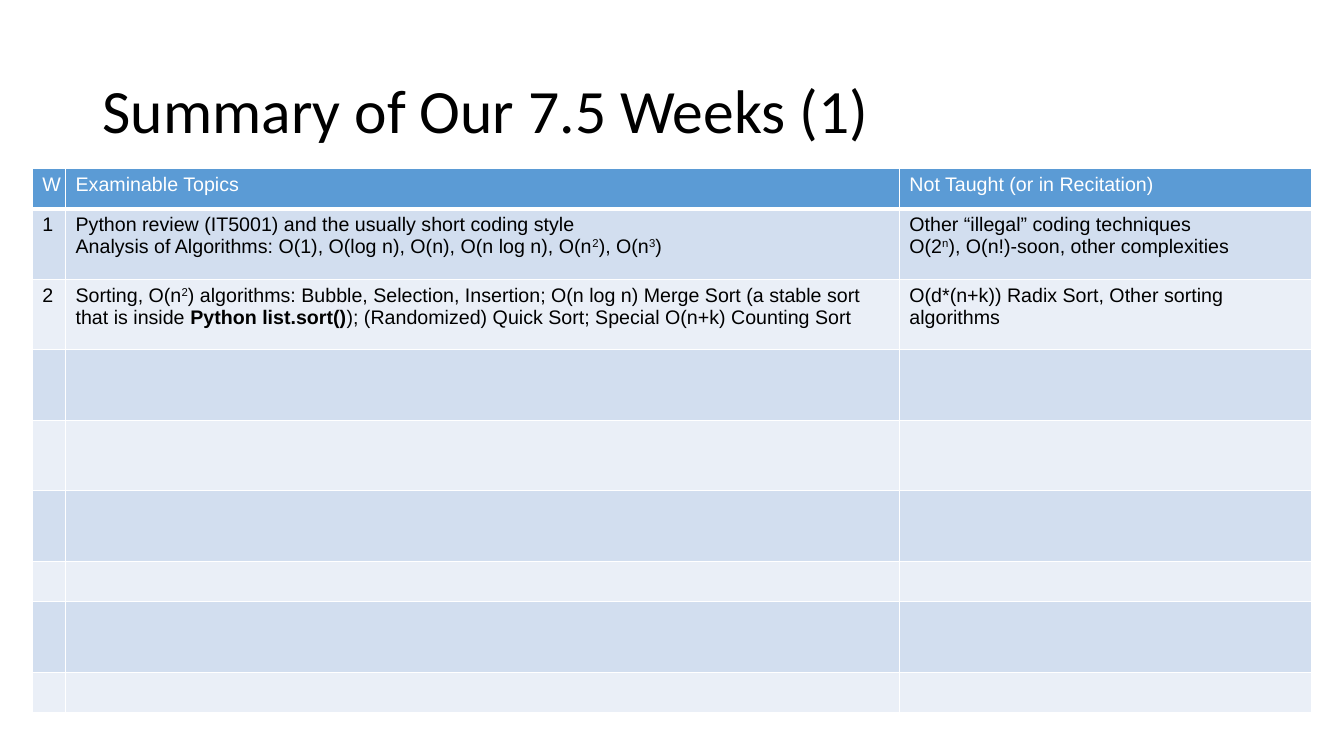
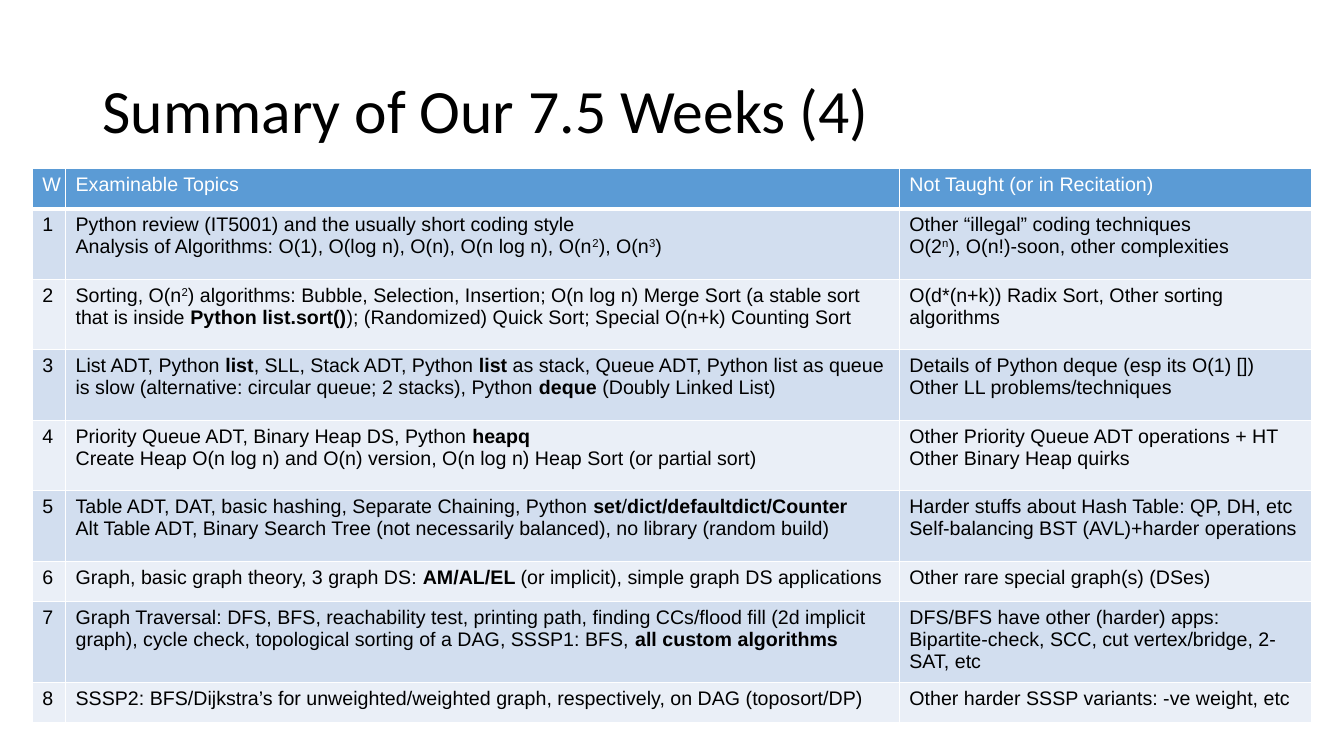
from lxml.etree import SubElement
from pptx import Presentation
from pptx.dml.color import RGBColor
from pptx.enum.text import MSO_ANCHOR
from pptx.oxml.ns import qn
from pptx.util import Emu, Pt

PX = 9144  # 100 px to the inch
COLORS = {
    "text": "000000",
    "header_text": "FFFFFF",
    "border": "FFFFFF",
    "header": "5B9BD5",
    "odd_week": "D2DEEF",
    "even_week": "EAEFF7",
}

COLUMN_WIDTHS = [33, 827, 409]
ROW_HEIGHTS = [40, 70, 70, 70, 70, 70, 40, 70, 40]
HEADINGS = ("W", "Examinable Topics", "Not Taught (or in Recitation)")

# Topics of each week: |bold|, ^superscript^, a new line for a new paragraph
WEEKS = [
    ("Python review (IT5001) and the usually short coding style\n"
     "Analysis of Algorithms: O(1), O(log n), O(n), O(n log n), O(n^2^), O(n^3^)",
     "Other “illegal” coding techniques\n"
     "O(2^n^), O(n!)-soon, other complexities"),
    ("Sorting, O(n^2^) algorithms: Bubble, Selection, Insertion; O(n log n) Merge Sort "
     "(a stable sort that is inside |Python list.sort()|); (Randomized) Quick Sort; "
     "Special O(n+k) Counting Sort",
     "O(d*(n+k)) Radix Sort, Other sorting algorithms"),
    ("List ADT, Python |list|, SLL, Stack ADT, Python |list| as stack, Queue ADT, "
     "Python list as queue is slow (alternative: circular queue; 2 stacks), "
     "Python |deque| (Doubly Linked List)",
     "Details of Python deque (esp its O(1) [])\n"
     "Other LL problems/techniques"),
    ("Priority Queue ADT, Binary Heap DS, Python |heapq|\n"
     "Create Heap O(n log n) and O(n) version, O(n log n) Heap Sort (or partial sort)",
     "Other Priority Queue ADT operations + HT\n"
     "Other Binary Heap quirks"),
    ("Table ADT, DAT, basic hashing, Separate Chaining, "
     "Python |set|/|dict/defaultdict/Counter|\n"
     "Alt Table ADT, Binary Search Tree (not necessarily balanced), "
     "no library (random build)",
     "Harder stuffs about Hash Table: QP, DH, etc\n"
     "Self-balancing BST (AVL)+harder operations"),
    ("Graph, basic graph theory, 3 graph DS: |AM/AL/EL |(or implicit), "
     "simple graph DS applications",
     "Other rare special graph(s) (DSes)"),
    ("Graph Traversal: DFS, BFS, reachability test, printing path, finding CCs/flood fill "
     "(2d implicit graph), cycle check, topological sorting of a DAG, SSSP1: BFS, "
     "|all custom algorithms|",
     "DFS/BFS have other (harder) apps: Bipartite-check, SCC, cut vertex/bridge, "
     "2-SAT, etc"),
    ("SSSP2: BFS/Dijkstra’s for unweighted/weighted graph, respectively, "
     "on DAG (toposort/DP)",
     "Other harder SSSP variants: -ve weight, etc"),
]


class Deck:
    title_font, title_size = "Calibri", 44
    table_font, table_size = "Arial", 14

    def __init__(self, width, height):
        self.presentation = Presentation()
        self.presentation.slide_width = Emu(width * PX)
        self.presentation.slide_height = Emu(height * PX)
        self.slide = None

    def add_slide(self):
        self.slide = self.presentation.slides.add_slide(self.presentation.slide_layouts[6])

    def style(self, font, name, size, color, bold=False):
        font.name, font.size, font.bold = name, Pt(size), bold
        font.color.rgb = RGBColor.from_string(COLORS[color])

    def title(self, text, left, top, width, height):
        box = self.slide.shapes.add_textbox(*(Emu(n * PX) for n in (left, top, width, height)))
        frame = box.text_frame
        frame.word_wrap = True
        frame.vertical_anchor = MSO_ANCHOR.MIDDLE
        frame.text = text
        paragraph = frame.paragraphs[0]
        paragraph.line_spacing = 0.9
        self.style(paragraph.runs[0].font, self.title_font, self.title_size, "text")

    def marked_text(self, paragraph, text, color):
        for i, part in enumerate(text.split("|")):
            for j, piece in enumerate(part.split("^")):
                if not piece:
                    continue
                run = paragraph.add_run()
                run.text = piece
                self.style(run.font, self.table_font, self.table_size, color, bold=i % 2 == 1)
                if j % 2:
                    run.font._element.set("baseline", "30000")
        if not text:
            SubElement(paragraph._p, qn("a:endParaRPr"), sz=str(self.table_size * 100))

    def borders(self, cell, bottom):
        properties = cell._tc.get_or_add_tcPr()
        for side, points in (("L", 1), ("R", 1), ("T", 1), ("B", bottom)):
            line = SubElement(properties, qn(f"a:ln{side}"), w=str(Pt(points)))
            fill = SubElement(line, qn("a:solidFill"))
            SubElement(fill, qn("a:srgbClr"), val=COLORS["border"])

    def cell(self, cell, text, fill, color, bottom):
        self.borders(cell, bottom)
        cell.fill.solid()
        cell.fill.fore_color.rgb = RGBColor.from_string(COLORS[fill])
        frame = cell.text_frame
        for i, line in enumerate(text.split("\n")):
            paragraph = frame.add_paragraph() if i else frame.paragraphs[0]
            self.marked_text(paragraph, line, color)

    def table(self, rows, left, top):
        bounds = (left, top, sum(COLUMN_WIDTHS), sum(ROW_HEIGHTS))
        table = self.slide.shapes.add_table(
            len(ROW_HEIGHTS), len(COLUMN_WIDTHS), *(Emu(n * PX) for n in bounds)).table
        for column, width in zip(table.columns, COLUMN_WIDTHS):
            column.width = Emu(width * PX)
        for row, height in zip(table.rows, ROW_HEIGHTS):
            row.height = Emu(height * PX)
        for week, texts in enumerate(rows):
            if week == 0:
                look = ("header", "header_text", 3)
            else:
                look = ("odd_week" if week % 2 else "even_week", "text", 1)
            for column, text in enumerate(texts):
                self.cell(table.cell(week, column), text, *look)


def main():
    deck = Deck(1333, 750)
    # Each summary: its number and how many weeks are filled in
    for number, shown in ((1, 2), (4, 8)):
        deck.add_slide()
        deck.title(f"Summary of Our 7.5 Weeks ({number})", 92, 40, 1150, 145)
        rows = [HEADINGS]
        for week, topics in enumerate(WEEKS, 1):
            rows.append((str(week), *topics) if week <= shown else ("", "", ""))
        deck.table(rows, 32, 167)
    deck.presentation.save("out.pptx")


if __name__ == "__main__":
    main()
